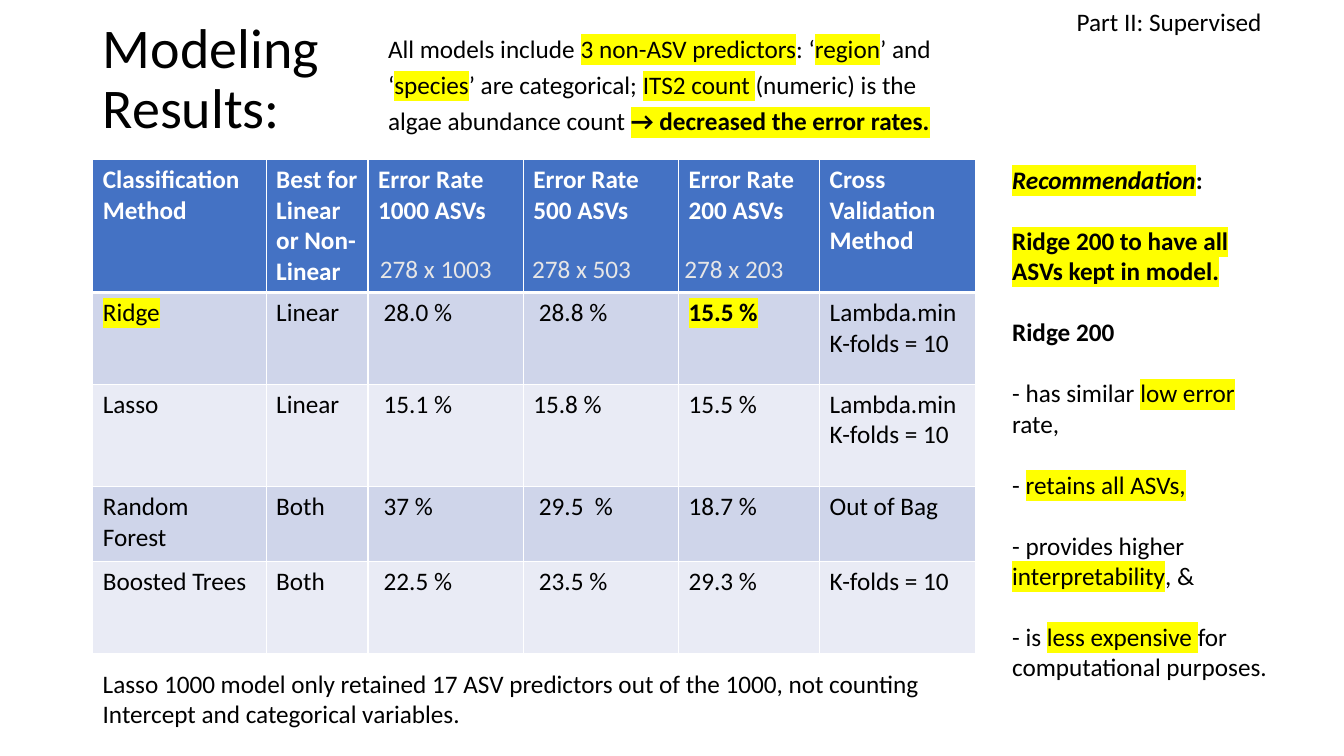
from lxml import etree
from pptx import Presentation
from pptx.dml.color import RGBColor
from pptx.enum.text import MSO_ANCHOR, MSO_AUTO_SIZE, PP_ALIGN
from pptx.oxml.ns import qn
from pptx.util import Inches, Pt

FONT = "Calibri"
BLACK, WHITE, YELLOW, GREY = "000000", "FFFFFF", "FFFF00", "E7E6E6"
HEADER_FILL, BAND_FILLS = "4472C4", ("CFD5EA", "E9EBF5")

# Content: a span is (text, style), where b = bold, i = italic, h = highlighted
TITLE = "Modeling Results:"
PART = [[("Part II: Supervised", "")]]
PREDICTORS = [[
    ("All models include ", ""), ("3 non-ASV predictors", "h"), (": ‘", ""),
    ("region", "h"), ("’ and ‘", ""), ("species", "h"),
    ("’ are categorical; ", ""), ("ITS2 count ", "h"),
    ("(numeric) is the algae abundance count ", ""),
    ("→ decreased the error rates.", "bh"),
]]
RECOMMENDATION = [
    [("Recommendation", "bih"), (":", "b")],
    [("Ridge 200 to have all ASVs kept in model.", "bh")],
    [("Ridge 200", "b")],
    [("- has similar ", ""), ("low error ", "h"), ("rate,", "")],
    [("- ", ""), ("retains all ASVs,", "h")],
    [("- provides higher ", ""), ("interpretability", "h"), (", &", "")],
    [("- is ", ""), ("less expensive ", "h"), ("for computational purposes.", "")],
]
FOOTNOTE = [[("Lasso 1000 model only retained 17 ASV predictors out of the 1000, "
              "not counting Intercept and categorical variables.", "")]]
DIMENSIONS = ["278 x 1003", "278 x 503", "278 x 203"]

RESULTS = [
    ["Classification Method", "Best for Linear or Non-Linear", "Error Rate\n1000 ASVs",
     "Error Rate\n500 ASVs", "Error Rate 200 ASVs", "Cross Validation Method"],
    ["Ridge", "Linear", " 28.0 %", " 28.8 %", "15.5 %", "Lambda.min\nK-folds = 10"],
    ["Lasso", "Linear", " 15.1 %", "15.8 %", "15.5 %", "Lambda.min\nK-folds = 10"],
    ["Random Forest", "Both", " 37 %", " 29.5  %", "18.7 %", "Out of Bag"],
    ["Boosted Trees", "Both", " 22.5 %", " 23.5 %", "29.3 %", "K-folds = 10"],
]
CELL_STYLES = {(1, 0): "h", (1, 4): "bh"}
COLUMN_WIDTHS = [1.72, 1.01, 1.54, 1.54, 1.4, 1.55]
ROW_HEIGHTS = [1.25, 0.91, 1.02, 0.74, 0.91]
LEFT, TABLE_TOP = 0.92, 1.58


def rgb(value):
    return RGBColor.from_string(value)


def format_span(span, style="", color=BLACK, size=18):
    font = span.font
    font.name, font.size = FONT, Pt(size)
    font.bold, font.italic = "b" in style, "i" in style
    font.color.rgb = rgb(color)
    if "h" in style:
        highlight = etree.Element(qn("a:highlight"))
        etree.SubElement(highlight, qn("a:srgbClr"), val=YELLOW)
        span.font._element.find(qn("a:solidFill")).addnext(highlight)


def add_text(page, place, paragraphs, color=BLACK, gap=0, line_spacing=None):
    box = page.shapes.add_textbox(*map(Inches, place))
    frame = box.text_frame
    frame.word_wrap = True
    frame.auto_size = MSO_AUTO_SIZE.SHAPE_TO_FIT_TEXT
    for index, spans in enumerate(paragraphs):
        para = frame.add_paragraph() if index else frame.paragraphs[0]
        para.line_spacing = line_spacing
        if index and gap:
            para.space_before = Pt(gap)
        for text, style in spans:
            span = para.add_run()
            span.text = text
            format_span(span, style, color)


def set_borders(cell, top, bottom):
    properties = cell._tc.get_or_add_tcPr()
    for index, (side, width) in enumerate(
            [("L", 1), ("R", 1), ("T", top), ("B", bottom)]):
        line = etree.Element(qn("a:ln" + side), w=str(Pt(width)))
        fill = etree.SubElement(line, qn("a:solidFill"))
        etree.SubElement(fill, qn("a:srgbClr"), val=WHITE)
        properties.insert(index, line)


def add_results(page):
    frame = page.shapes.add_table(
        len(RESULTS), len(COLUMN_WIDTHS), Inches(LEFT), Inches(TABLE_TOP),
        Inches(sum(COLUMN_WIDTHS)), Inches(sum(ROW_HEIGHTS)))
    table = frame.table
    for column, width in zip(table.columns, COLUMN_WIDTHS):
        column.width = Inches(width)
    for row, height in zip(table.rows, ROW_HEIGHTS):
        row.height = Inches(height)
    for r, texts in enumerate(RESULTS):
        for c, text in enumerate(texts):
            cell = table.cell(r, c)
            cell.text_frame.text = text
            cell.fill.solid()
            cell.fill.fore_color.rgb = rgb(BAND_FILLS[(r - 1) % 2] if r else HEADER_FILL)
            set_borders(cell, top=3 if r == 1 else 1, bottom=1 if r else 3)
            style = CELL_STYLES.get((r, c), "") if r else "b"
            for para in cell.text_frame.paragraphs:
                for span in para.runs:
                    format_span(span, style, BLACK if r else WHITE)


def main():
    deck = Presentation()
    deck.slide_width, deck.slide_height = Inches(13.33), Inches(7.5)
    page = deck.slides.add_slide(deck.slide_layouts[5])

    # Title
    title = page.shapes.title
    title.left, title.top = Inches(LEFT), Inches(0.07)
    title.width, title.height = Inches(3.47), Inches(1.45)
    frame = title.text_frame
    frame.text = TITLE
    frame.word_wrap = True
    frame.auto_size = MSO_AUTO_SIZE.NONE
    frame.vertical_anchor = MSO_ANCHOR.MIDDLE
    para = frame.paragraphs[0]
    para.alignment, para.line_spacing = PP_ALIGN.LEFT, 0.9
    format_span(para.runs[0], size=40)

    # Results table and the texts around it
    add_results(page)
    add_text(page, (10.58, 0.01, 2.75, 0.4), PART)
    add_text(page, (3.75, 0.22, 5.82, 1.17), PREDICTORS, line_spacing=1.2)
    add_text(page, (9.94, TABLE_TOP, 2.75, 5.55), RECOMMENDATION, gap=22)
    add_text(page, (LEFT, 6.58, 9.02, 0.71), FOOTNOTE)

    # Matrix dimensions over the error rate headings
    for index, size in enumerate(DIMENSIONS):
        add_text(page, (3.67 + 1.51 * index, 2.46, 1.35, 0.4), [[(size, "")]], GREY)

    deck.save("out.pptx")


if __name__ == "__main__":
    main()
